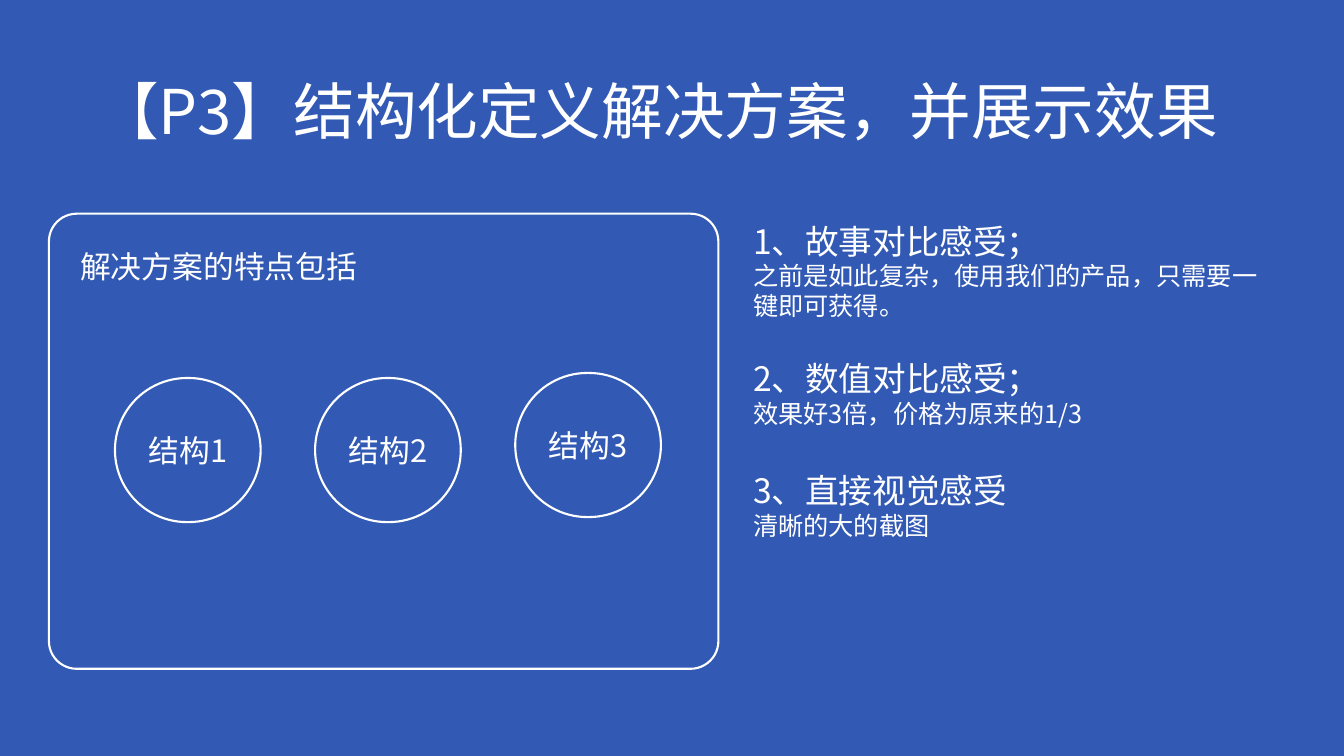
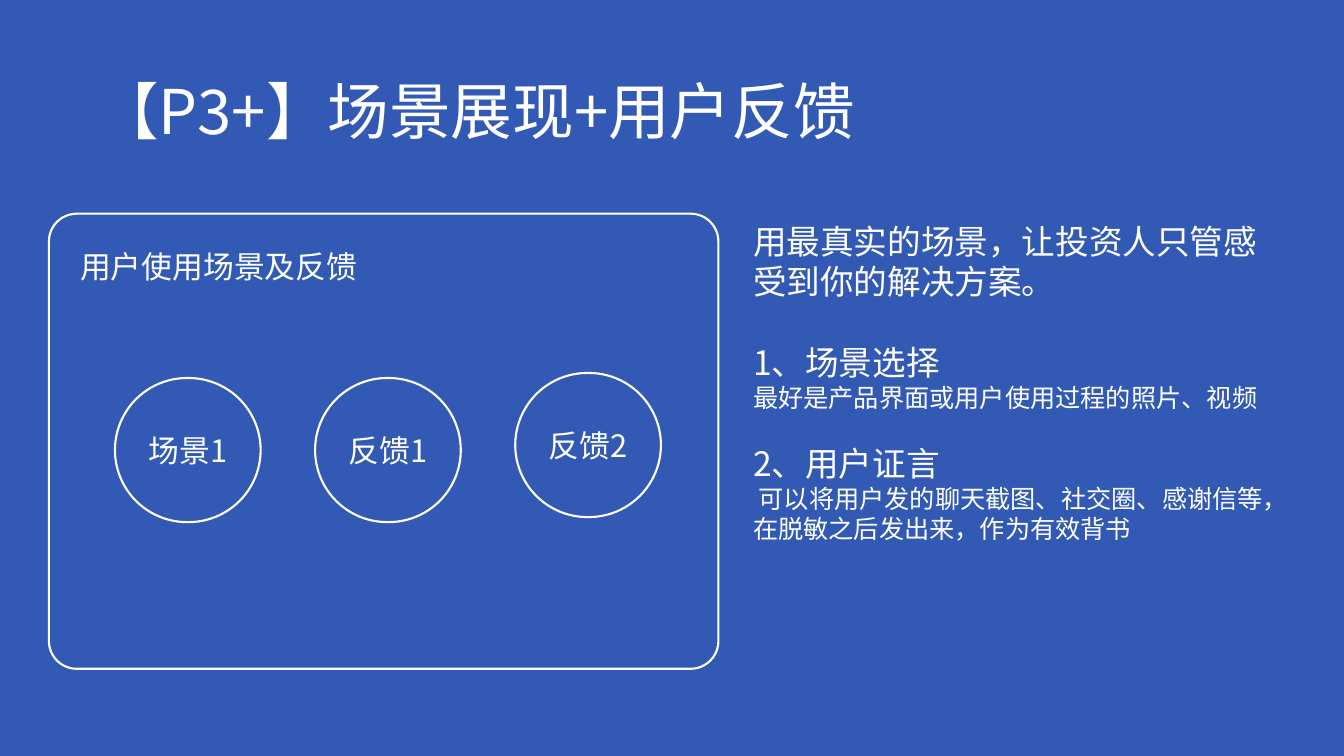
"""Builds two pitch slides: a framed set of structures beside written advice."""
from lxml import etree
from pptx import Presentation
from pptx.dml.color import RGBColor
from pptx.enum import shapes, text
from pptx.oxml import ns
from pptx.util import Emu, Pt

PX = 9144
FONT = "Noto Sans CJK SC"
BLUE, WHITE = "325AB4", "FFFFFF"
TITLE, HEAD, LABEL, BODY = 88, 48, 44, 36
LINE = 1.2


def px(n):
    return Emu(n * PX)


def paint(color, code):
    color.rgb = RGBColor.from_string(code)


def write(para, words, size=LABEL, align=None, before=0, after=0, lead=LINE):
    run = para.add_run()
    run.text = words
    font = run.font
    font.size = Pt(size)
    font.fill.solid()
    paint(font.fill.fore_color, WHITE)
    font.name = FONT
    east = etree.SubElement(run._r.get_or_add_rPr(), ns.qn("a:ea"))
    east.set("typeface", FONT)
    para.alignment = align
    para.line_spacing = Pt(round(size * lead))
    if before:
        para.space_before = Pt(before)
    if after:
        para.space_after = Pt(after)


def label(slide, box, paras, anchor=text.MSO_ANCHOR.TOP, grow=True):
    frame = slide.shapes.add_textbox(*map(px, box)).text_frame
    frame.word_wrap = True
    frame.vertical_anchor = anchor
    if grow:
        frame.auto_size = text.MSO_AUTO_SIZE.SHAPE_TO_FIT_TEXT
    for i, (words, style) in enumerate(paras):
        para = frame.add_paragraph() if i else frame.paragraphs[0]
        write(para, words, **style)


def outline(slide, box, bend):
    form = slide.shapes.add_shape(
        shapes.MSO_SHAPE.ROUNDED_RECTANGLE, *map(px, box))
    form.adjustments[0] = bend
    form.shadow.inherit = False
    form.fill.background()
    paint(form.line.color, WHITE)
    form.line.width = Pt(3)
    return form


def header(slide, box, words):
    label(slide, box, [(words, dict(size=TITLE, lead=LINE * 0.9))],
          anchor=text.MSO_ANCHOR.MIDDLE, grow=False)


def panel(slide, box, caption, names):
    left, top, _, _ = box
    outline(slide, box, 0.061)
    label(slide, (left + 52, top + 63, 1050, 84), [(caption, {})])
    for i, (name, lift) in enumerate(zip(names, (0, 0, 10))):
        ring = outline(
            slide, (left + 131 + i * 397, top + 326 - lift, 289, 286), 0.5)
        ring.text_frame.vertical_anchor = text.MSO_ANCHOR.MIDDLE
        write(ring.text_frame.paragraphs[0], name, align=text.PP_ALIGN.CENTER)


def advice(slide, box, points):
    paras = []
    for gap, head, body in points:
        paras.append((head, dict(size=HEAD, before=gap)))
        if body:
            paras.append((body, dict(size=BODY)))
    label(slide, box, paras)


def pitch(deck, title, caption, names, points):
    slide = deck.slides.add_slide(deck.slide_layouts[6])
    fill = slide.background.fill
    fill.solid()
    paint(fill.fore_color, BLUE)
    header(slide, (183, 80, 2295, 290), title)
    panel(slide, (97, 424, 1328, 903), caption, names)
    advice(slide, (1484, 432, 1050, 650), points)


PAGES = [
    ("【P3】结构化定义解决方案，并展示效果", "解决方案的特点包括",
     ["结构1", "结构2", "结构3"],
     [(0, "1、故事对比感受；",
       "之前是如此复杂，使用我们的产品，只需要一键即可获得。"),
      (53, "2、数值对比感受；", "效果好3倍，价格为原来的1/3"),
      (58, "3、直接视觉感受", "清晰的大的截图")]),
    ("【P3+】场景展现+用户反馈", "用户使用场景及反馈",
     ["场景1", "反馈1", "反馈2"],
     [(0, "用最真实的场景，让投资人只管感受到你的解决方案。", ""),
      (58, "1、场景选择", "最好是产品界面或用户使用过程的照片、视频"),
      (43, "2、用户证言",
       " 可以将用户发的聊天截图、社交圈、感谢信等，在脱敏之后发出来，作为有效背书")]),
]


def main():
    deck = Presentation()
    deck.slide_width, deck.slide_height = px(2666), px(1500)
    for page in PAGES:
        pitch(deck, *page)
    deck.save("out.pptx")


if __name__ == "__main__":
    main()
